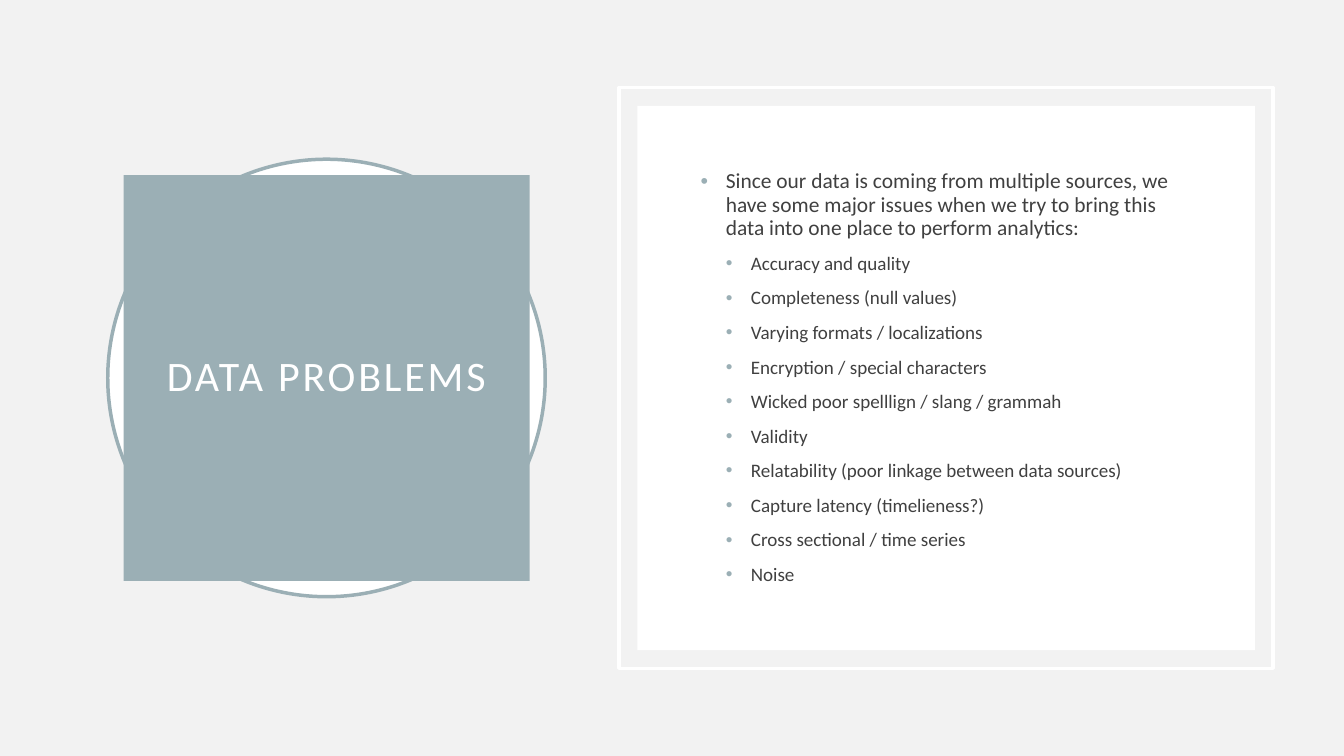
from lxml import etree
from pptx import Presentation
from pptx import util as u
from pptx.dml.color import RGBColor
from pptx.enum import shapes, text
from pptx.oxml.ns import qn

SAGE, WHITE, GREY, CHARCOAL = "9BAFB5", "FFFFFF", "F2F2F2", "404040"


def paint(target, color):
    """Give a fill or a line's fill a solid colour."""
    target.solid()
    target.fore_color.rgb = RGBColor.from_string(color)


def write(para, words, size, color, align=text.PP_ALIGN.LEFT, before=0, spacing=None, bullet_indent=None):
    """Fill a paragraph with one formatted run, with a bullet if an indent is given."""
    para.alignment = align
    para.line_spacing = 0.9
    para.space_before = u.Pt(before)
    if bullet_indent:
        props = para._p.get_or_add_pPr()
        props.set("marL", str(u.Pt(bullet_indent)))
        props.set("indent", str(u.Pt(-18)))
        bullet_color = etree.SubElement(props, qn("a:buClr"))
        etree.SubElement(bullet_color, qn("a:srgbClr"), val=SAGE)
        etree.SubElement(props, qn("a:buFont"), typeface="Arial")
        etree.SubElement(props, qn("a:buChar"), char="•")
    span = para.add_run()
    span.text = words
    span.font.name = "Calibri"
    span.font.size = u.Pt(size)
    paint(span.font.fill, color)
    if spacing:
        span._r.get_or_add_rPr().set("spc", str(spacing * 100))


# Deck and page
deck = Presentation()
deck.slide_width, deck.slide_height = u.Pt(960), u.Pt(540)
page = deck.slides.add_slide(deck.slide_layouts[1])
paint(page.background.fill, GREY)

# Circle behind the title, frame and panel behind the list
backdrops = [
    (shapes.MSO_SHAPE.OVAL, (77, 113.75, 312.5, 312.5), WHITE, SAGE),
    (shapes.MSO_SHAPE.RECTANGLE, (442.2, 62.6, 467.2, 414.8), None, WHITE),
    (shapes.MSO_SHAPE.RECTANGLE, (455.2, 75.6, 441.2, 388.8), WHITE, None),
]
for preset, place, fill, line in backdrops:
    shape = page.shapes.add_shape(preset, *map(u.Pt, place))
    shape.shadow.inherit = False
    if fill:
        paint(shape.fill, fill)
    else:
        shape.fill.background()
    if line:
        paint(shape.line.fill, line)
        shape.line.width = u.Pt(2.5)
    else:
        shape.line.fill.background()

# Placeholders, brought in front of the backdrops
title, body = page.placeholders
places = [(title, (88.25, 125, 290, 290)), (body, (493.2, 113.75, 366.5, 312.5))]
for box, place in places:
    page.shapes.element.append(box.element)
    box.left, box.top, box.width, box.height = map(u.Pt, place)
    box.text_frame.word_wrap = True
    box.text_frame.auto_size = text.MSO_AUTO_SIZE.NONE
    box.text_frame.vertical_anchor = text.MSO_ANCHOR.MIDDLE

# Title
paint(title.fill, SAGE)
frame = title.text_frame
frame.margin_left = frame.margin_right = frame.margin_top = frame.margin_bottom = u.Pt(14.4)
write(frame.paragraphs[0], "DATA PROBLEMS", 30, WHITE, align=text.PP_ALIGN.CENTER, spacing=2)

# List of problems
write(
    body.text_frame.paragraphs[0],
    "Since our data is coming from multiple sources, we have some major issues "
    "when we try to bring this data into one place to perform analytics:",
    15.3, CHARCOAL, bullet_indent=18,
)
problems = [
    "Accuracy and quality",
    "Completeness (null values)",
    "Varying formats / localizations",
    "Encryption / special characters",
    "Wicked poor spelllign / slang / grammah",
    "Validity",
    "Relatability (poor linkage between data sources)",
    "Capture latency (timelieness?)",
    "Cross sectional / time series",
    "Noise",
]
for problem in problems:
    para = body.text_frame.add_paragraph()
    para.level = 1
    write(para, problem, 13.6, CHARCOAL, before=10, bullet_indent=36)

deck.save("out.pptx")
